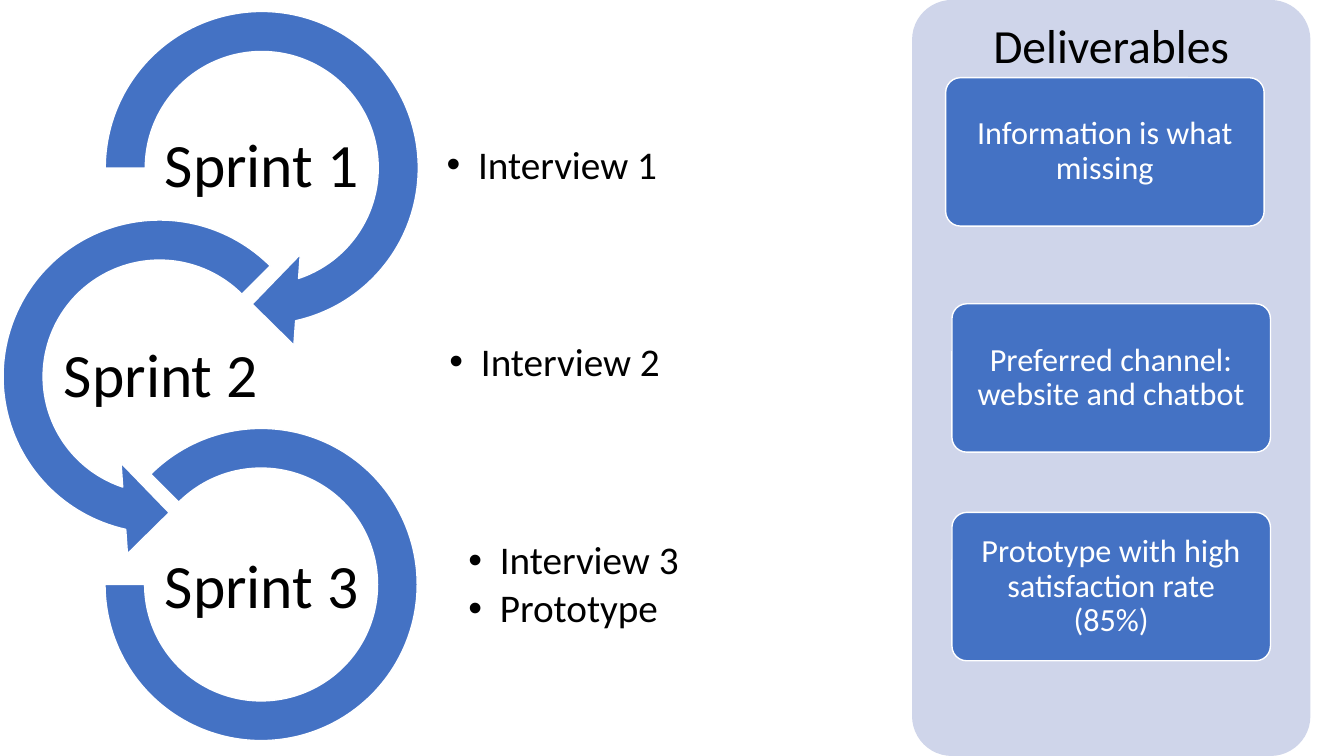
from pptx import Presentation
from pptx.dml.color import RGBColor
from pptx.enum.shapes import MSO_SHAPE
from pptx.enum.text import MSO_ANCHOR, MSO_AUTO_SIZE, PP_ALIGN
from pptx.oxml.ns import qn
from pptx.util import Pt
from lxml import etree

ROUND = MSO_SHAPE.ROUNDED_RECTANGLE
RIGHT = MSO_SHAPE.CIRCULAR_ARROW
LEFT = MSO_SHAPE.LEFT_CIRCULAR_ARROW
ARC = MSO_SHAPE.BLOCK_ARC
MIDDLE, NO_FIT = MSO_ANCHOR.MIDDLE, MSO_AUTO_SIZE.NONE
CENTER, START = PP_ALIGN.CENTER, PP_ALIGN.LEFT

THEME = {
    "font": "Calibri",
    "blue": RGBColor(0x44, 0x72, 0xC4),
    "pale": RGBColor(0xCF, 0xD5, 0xEA),
    "white": RGBColor(0xFF, 0xFF, 0xFF),
    "black": RGBColor(0, 0, 0),
    "sprint": 44, "title": 34, "list": 28, "card": 23,
}

# Sprint name, label left, list items, list left and top
SPRINTS = [
    ("Sprint 1", 114.5, ["Interview 1"], (317, 67)),
    ("Sprint 2", 42.5, ["Interview 2"], (319, 207.5)),
    ("Sprint 3", 114.5, ["Interview 3", "Prototype"], (332.5, 366.5)),
]
# Shape, left, top, side, adjustments
RINGS = [
    (RIGHT, 57, -10, 260, (0.11, 11.42, 45, 108, 0.125)),
    (LEFT, -16, 139, 260, (0.11, 11.42, 63, 189, 0.125)),
    (ARC, 75, 306, 223, (135, 108, 0.127)),
]
TITLE = "Deliverables"
# Text, left, top
CARDS = [
    ("Information is what missing", 675.5, 55.5),
    ("Preferred channel: website and chatbot", 680, 217),
    ("Prototype with high satisfaction rate (85%)", 680, 366),
]
PANEL = (651.5, 0, 284.5, 540)
LABEL_TOP, LABEL_STEP, LABEL_SIZE = 83.5, 150.5, (145, 72)
LIST_SIZE, CARD_SIZE = (156, 104), (227.5, 106)
INDENT, BULLET_GAP = 22.5, 4


def assign(item, values):
    for name, value in values.items():
        setattr(item, name, value)


def place(shape, *box):
    assign(shape, dict(zip(("left", "top", "width", "height"), map(Pt, box))))


def draw(slide, kind, box, fill, adjust, edge=True):
    shape = slide.shapes.add_shape(kind, *map(Pt, box))
    shape.shadow.inherit = False
    shape.fill.solid()
    shape.fill.fore_color.rgb = THEME[fill]
    if edge:
        shape.line.color.rgb = THEME["white"]
        shape.line.width = Pt(1)
    else:
        shape.line.fill.background()
    for spot, value in enumerate(adjust):
        shape.adjustments[spot] = value
    return shape


def write(shape, lines, size, color="black", inset=2, align=CENTER, gap=0):
    frame = shape.text_frame
    frame.text = "\n".join(lines)
    sides = ("left", "top", "right", "bottom")
    assign(frame, {f"margin_{side}": Pt(inset) for side in sides})
    assign(frame, {"word_wrap": True, "auto_size": NO_FIT,
                   "vertical_anchor": MIDDLE})
    for para in frame.paragraphs:
        assign(para, {"alignment": align, "line_spacing": 0.9,
                      "space_before": Pt(0), "space_after": Pt(gap)})
        for run in para.runs:
            assign(run.font, {"name": THEME["font"], "bold": False,
                              "size": Pt(THEME[size])})
            run.font.color.rgb = THEME[color]


def bullet(para):
    props = para._p.get_or_add_pPr()
    props.set("marL", str(Pt(INDENT)))
    props.set("indent", str(-Pt(INDENT)))
    etree.SubElement(props, qn("a:buFont")).set("typeface", "Arial")
    etree.SubElement(props, qn("a:buChar")).set("char", "•")


def main():
    deck = Presentation()
    assign(deck, {"slide_width": Pt(960), "slide_height": Pt(540)})
    slide = deck.slides.add_slide(deck.slide_layouts[4])
    title, *bodies = slide.placeholders
    for spare in bodies[len(SPRINTS):]:
        spare.element.getparent().remove(spare.element)

    for kind, left, top, side, adjust in RINGS:
        draw(slide, kind, (left, top, side, side), "blue", adjust)

    for row, (name, left, items, spot) in enumerate(SPRINTS):
        top = LABEL_TOP + row * LABEL_STEP
        label = slide.shapes.add_textbox(*map(Pt, (left, top, *LABEL_SIZE)))
        write(label, [name], "sprint")
        place(bodies[row], *spot, *LIST_SIZE)
        write(bodies[row], items, "list", align=START, gap=BULLET_GAP)
        for para in bodies[row].text_frame.paragraphs:
            bullet(para)

    draw(slide, ROUND, PANEL, "pale", (0.1,), edge=False)
    slide.shapes.element.append(title.element)  # bring title above panel
    place(title, PANEL[0], 10, PANEL[2], 48)
    write(title, [TITLE], "title", inset=0)

    for text, left, top in CARDS:
        card = draw(slide, ROUND, (left, top, *CARD_SIZE), "blue", (0.1,))
        write(card, [text], "card", "white", inset=7)

    deck.save("out.pptx")


if __name__ == "__main__":
    main()
